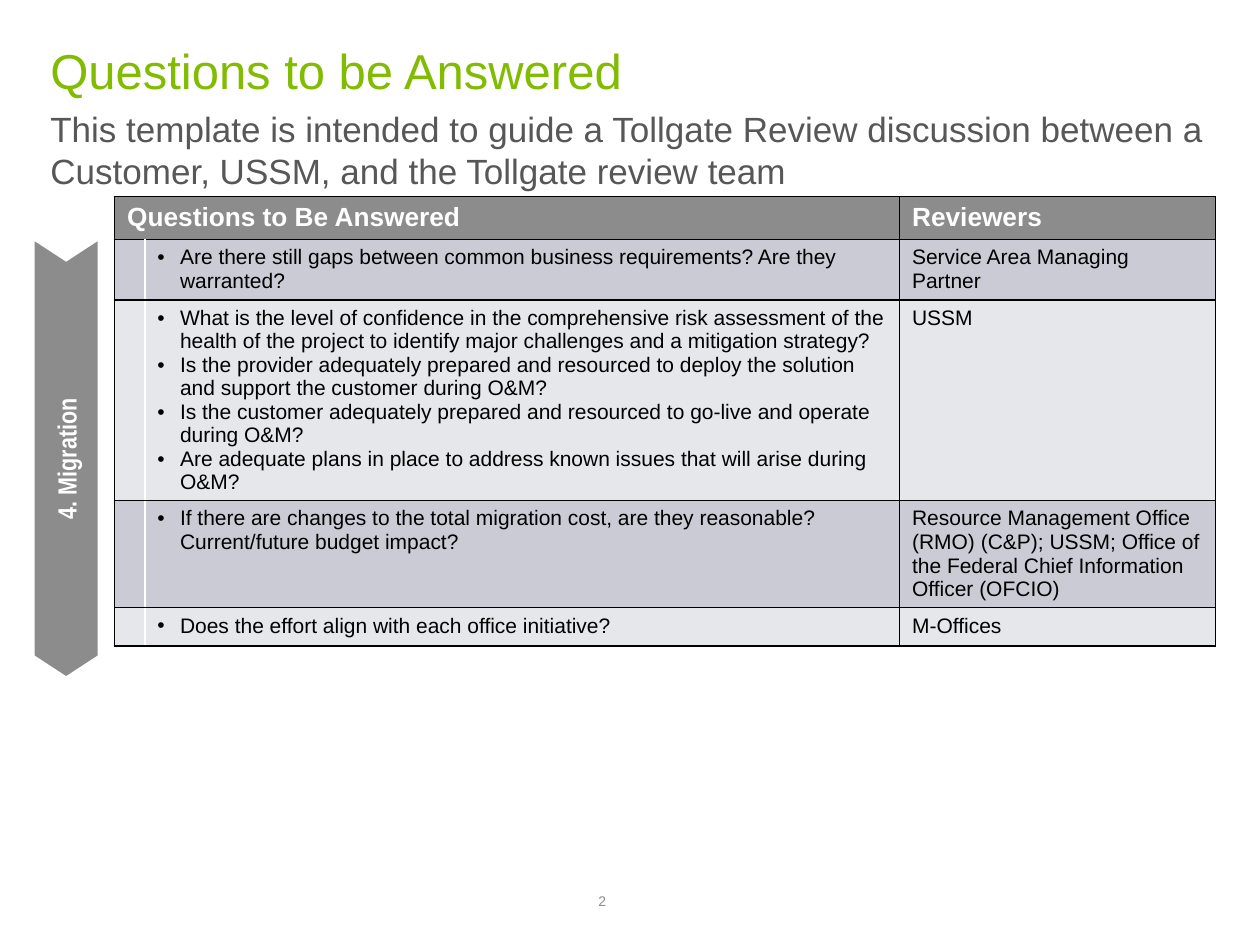
import pptx
import pptx.dml.color
import pptx.enum.shapes
import pptx.enum.text
import pptx.oxml.ns
import pptx.util
import lxml.etree

Inches = pptx.util.Inches
Pt = pptx.util.Pt
qn = pptx.oxml.ns.qn
sub = lxml.etree.SubElement
anchor = pptx.enum.text.MSO_ANCHOR
align = pptx.enum.text.PP_ALIGN


def color(code):
    return pptx.dml.color.RGBColor.from_string(code)


def write(par, text, size, code, bold=False, face="Arial"):
    run = par.add_run()
    run.text = text
    run.font.size = Pt(size)
    run.font.name = face
    run.font.bold = bold
    run.font.color.rgb = color(code)


deck = pptx.Presentation()
deck.slide_width = Inches(10)
deck.slide_height = Inches(7.5)
slide = deck.slides.add_slide(deck.slide_layouts[5])

title = slide.shapes.title
title.left, title.top = Inches(0.4), Inches(0.32)
title.width, title.height = Inches(9.2), Inches(0.51)
intro = slide.shapes.add_textbox(Inches(0.4), Inches(0.85), Inches(9.2), Inches(0.83))
number = slide.shapes.add_textbox(Inches(4.75), Inches(7.09), Inches(0.5), Inches(0.13))
arrow = slide.shapes.add_shape(
    pptx.enum.shapes.MSO_SHAPE.CHEVRON,
    Inches(-1.2), Inches(3.39), Inches(3.45), Inches(0.5))
arrow.adjustments[0] = 0.326
arrow.rotation = 270
arrow.element.spPr.find(qn("a:xfrm")).set("flipH", "1")
arrow.shadow.inherit = False
arrow.fill.solid()
arrow.fill.fore_color.rgb = color("8C8C8C")
arrow.line.fill.background()

label = "This template is intended to guide a Tollgate Review discussion between a Customer, USSM, and the Tollgate review team"
for shape, place, side, text, size, code, bold, face in [
    (title, anchor.TOP, align.LEFT, "Questions to be Answered", 28, "81BC00", False, "Arial"),
    (intro, anchor.TOP, align.LEFT, label, 20, "575757", False, "Arial"),
    (number, anchor.BOTTOM, align.LEFT, "2", 8, "8C8C8C", False, "Arial"),
    (arrow, anchor.MIDDLE, align.CENTER, "4. Migration", 15, "FFFFFF", True, "Arial Narrow"),
]:
    frame = shape.text_frame
    frame.word_wrap = True
    frame.auto_size = pptx.enum.text.MSO_AUTO_SIZE.NONE
    frame.margin_left = frame.margin_right = 0
    frame.margin_top = frame.margin_bottom = 0
    frame.vertical_anchor = place
    par = frame.paragraphs[0]
    par.alignment = side
    write(par, text, size, code, bold, face)
intro.text_frame.paragraphs[0].line_spacing = Pt(24)

rows = [
    (0.34, ["Questions to Be Answered"], "Reviewers"),
    (0.48, ["Are there still gaps between common business requirements? Are they warranted?"],
     "Service Area Managing Partner"),
    (1.59, [
        "What is the level of confidence in the comprehensive risk assessment of the health of the project to identify major challenges and a mitigation strategy?",
        "Is the provider adequately prepared and resourced to deploy the solution and support the customer during O&M?",
        "Is the customer adequately prepared and resourced to go-live and operate during O&M?",
        "Are adequate plans in place to address known issues that will arise during O&M?",
    ], "USSM"),
    (0.85, ["If there are changes to the total migration cost, are they reasonable? Current/future budget impact?"],
     "Resource Management Office (RMO) (C&P); USSM; Office of the Federal Chief Information Officer (OFCIO)"),
    (0.28, ["Does the effort align with each office initiative?"], "M-Offices"),
]
high = sum(row[0] for row in rows)
wides = [0.23, 5.99, 2.51]
table = slide.shapes.add_table(
    len(rows), 3, Inches(0.91), Inches(1.56), Inches(sum(wides)), Inches(high)).table
for col, wide in zip(table.columns, wides):
    col.width = Inches(wide)
table.cell(0, 0).merge(table.cell(0, 1))

for i, (tall, asks, who) in enumerate(rows):
    table.rows[i].height = Inches(tall)
    head = i == 0
    texts = [asks, [], [who]] if head else [[], asks, [who]]
    for j, lines in enumerate(texts):
        cell = table.cell(i, j)
        cell.margin_left = cell.margin_right = Inches(0.1)
        cell.margin_top = cell.margin_bottom = Inches(0.05)
        props = cell._tc.get_or_add_tcPr()
        for side in "LRTB":
            white = not head and (j, side) in [(0, "R"), (1, "L")]
            edge = sub(props, qn("a:ln" + side), w=str(Pt(1)))
            fill = sub(edge, qn("a:solidFill"))
            sub(fill, qn("a:srgbClr"), val="FFFFFF" if white else "000000")
        cell.fill.solid()
        cell.fill.fore_color.rgb = color("8C8C8C" if head else ["E6E7EB", "CACBD5"][i % 2])
        frame = cell.text_frame
        if not lines:
            sub(frame.paragraphs[0]._p, qn("a:endParaRPr"), sz="1200")
        for k, text in enumerate(lines):
            par = frame.add_paragraph() if k else frame.paragraphs[0]
            if j == 1:
                form = par._p.get_or_add_pPr()
                form.set("marL", str(Inches(0.18)))
                form.set("indent", str(Inches(-0.18)))
                tint = sub(form, qn("a:buClr"))
                sub(tint, qn("a:srgbClr"), val="000000")
                sub(form, qn("a:buFont"), typeface="Arial")
                sub(form, qn("a:buChar"), char="•")
            write(par, text, 15 if head else 12, "FFFFFF" if head else "000000", head)

deck.save("out.pptx")
